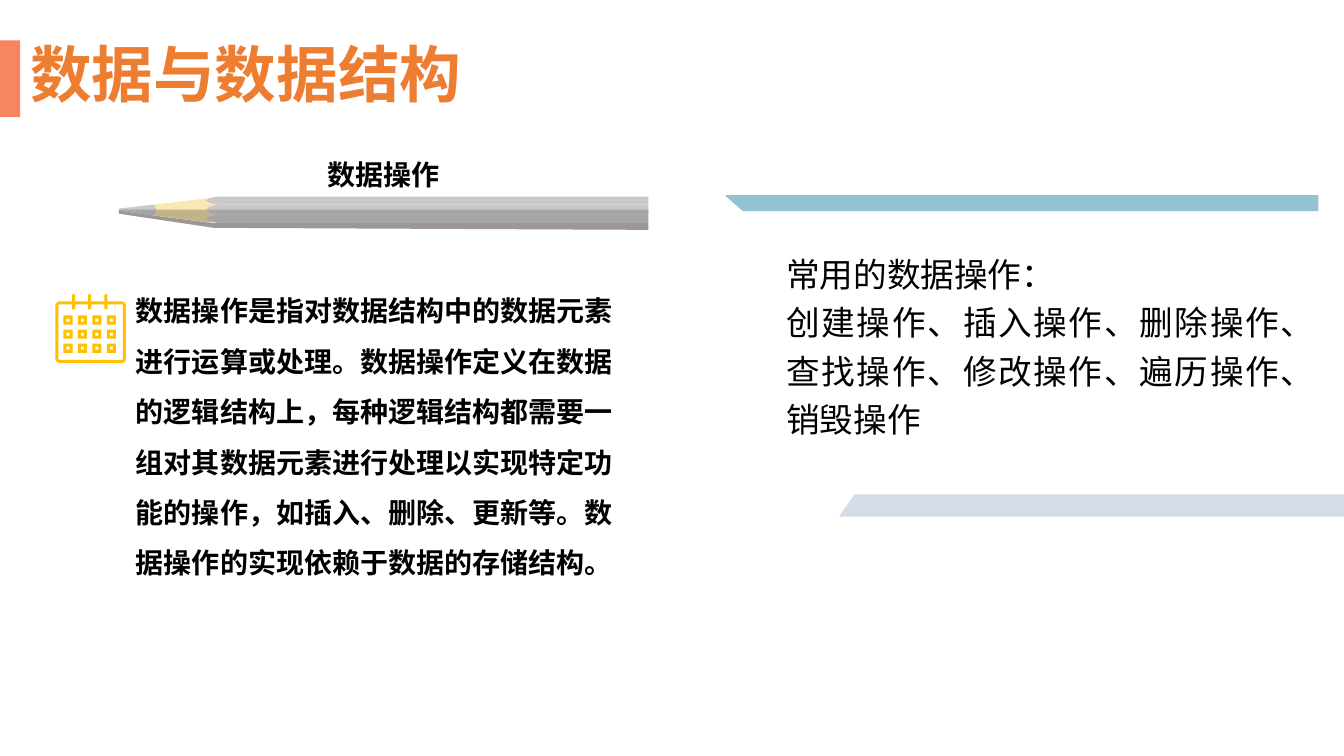
import math

from lxml import etree
from pptx import Presentation
from pptx import util as u
from pptx.dml.color import RGBColor
from pptx.enum import lang, shapes, text
from pptx.oxml import ns

COLORS = {
    "accent": "F88562",
    "title": "ED7D31",
    "ink": "000000",
    "calendar": "FFC000",
    "wood": "F8E9B2",
    "wood_shade": "C2B388",
    "light": "C9C9C9",
    "shade": "A5A5A5",
    "dark": "9C9696",
    "teal": "93C3D3",
    "mist": "D5DCE9",
}
CJK_FONT = "Noto Sans CJK SC"
BOLD_BODY = {"name": "Arial", "size": u.Pt(20), "bold": True}
TITLE = {"name": "Arial", "size": u.Pt(44), "bold": True}
PLAIN_BODY = {"name": CJK_FONT, "size": u.Pt(24), "bold": False}


def paint(shape, color, outlined=False):
    shape.shadow.inherit = False
    shape.fill.solid()
    shape.fill.fore_color.rgb = RGBColor.from_string(COLORS[color])
    if outlined:
        shape.line.color.rgb = RGBColor.from_string(COLORS[color])
        shape.line.width = u.Pt(0.75)
    else:
        shape.line.fill.background()


def add_outline(parent, left, top, contours, color, outlined=False):
    placed = [
        [(u.Inches(left + x), u.Inches(top + y)) for x, y in contour]
        for contour in contours
    ]
    builder = parent.build_freeform(*placed[0][0])
    for index, contour in enumerate(placed):
        if index:
            builder.move_to(*contour[0])
        builder.add_line_segments(contour[1:], close=True)
    paint(builder.convert_to_shape(), color, outlined)


def add_text(page, box, lines, font, spacing, align=text.PP_ALIGN.LEFT,
             anchor=text.MSO_ANCHOR.TOP, color="ink"):
    frame = page.shapes.add_textbox(*map(u.Inches, box)).text_frame
    frame.word_wrap = True
    frame.vertical_anchor = anchor
    for index, line in enumerate(lines):
        para = frame.add_paragraph() if index else frame.paragraphs[0]
        para.alignment = align
        para.line_spacing = spacing
        span = para.add_run()
        span.text = line
        span.font.language_id = lang.MSO_LANGUAGE_ID.SIMPLIFIED_CHINESE
        span.font.color.rgb = RGBColor.from_string(COLORS[color])
        for key, value in font.items():
            setattr(span.font, key, value)
        east_asian = etree.SubElement(span.font._element, ns.qn("a:ea"))
        east_asian.set("typeface", CJK_FONT)


def add_header(page, left, top, width, height):
    marker = page.shapes.add_shape(
        shapes.MSO_SHAPE.RECTANGLE,
        *map(u.Inches, (left, top, 0.2, height)))
    paint(marker, "accent")
    add_text(page, (left + 0.2, top - 0.01, width, height), ["数据与数据结构"],
             TITLE, 0.9, anchor=text.MSO_ANCHOR.MIDDLE, color="title")


def calendar_edge(left, top, right, bottom, radius, ring_tip):
    centers = [
        (left + radius, top + radius, 180),
        (right - radius, top + radius, 270),
        (right - radius, bottom - radius, 0),
        (left + radius, bottom - radius, 90),
    ]
    corners = [
        [(x + radius * math.cos(math.radians(start + turn)),
          y + radius * math.sin(math.radians(start + turn)))
         for turn in range(0, 91, 30)]
        for x, y, start in centers
    ]
    rings = []
    for center in (0.18, 0.34, 0.5):
        before, after = center - 0.03 / 2, center + 0.03 / 2
        rings += [(before, top), (before, ring_tip), (after, ring_tip), (after, top)]
    return corners[0] + rings + corners[1] + corners[2] + corners[3]


def square(left, top, side):
    return [(left, top), (left + side, top),
            (left + side, top + side), (left, top + side)]


def add_calendar(page, left, top):
    contours = [
        calendar_edge(0, 0.07, 0.7, 0.68, 0.04, 0),
        calendar_edge(0.03, 0.1, 0.67, 0.65, 0.01, 0.15)[::-1],
    ]
    for row in range(3):
        for column in range(4):
            x, y = 0.08 + column * 0.43 / 3, 0.21 + row * 0.14
            contours.append(square(x, y, 0.09))
            contours.append(square(x + 0.03, y + 0.03, 0.03)[::-1])
    add_outline(page.shapes, left, top, contours, "calendar")


def barrel_band(top, bottom, length):
    depth = bottom - top
    scallop = [(0.97, 0), (0.9, 0.2), (0.86, 0.5), (0.9, 0.8), (0.97, 1)]
    return ([(length, bottom), (length, top)]
            + [(x, top + part * depth) for x, part in scallop])


def add_pencil(page, left, top, length):
    pieces = [
        ("wood", [(0.91, 0.26), (0.01, 0.14), (0.01, 0.12),
                  (0.94, 0.01), (1.01, 0.02), (1.01, 0.24)]),
        ("light", barrel_band(0.08, 0.18, length)),
        ("light", barrel_band(0, 0.08, length)),
        ("light", [(0.35, 0.08), (0.37, 0.13), (0.36, 0.19), (0, 0.14), (0, 0.12)]),
        ("dark", [(0, 0.17), (0, 0.14), (0.36, 0.19), (0.91, 0.26),
                  (length, 0.26), (length, 0.33), (0.94, 0.31)]),
        ("wood_shade", [(0.36, 0.19), (0.37, 0.13), (0.87, 0.13), (0.9, 0.16),
                        (0.96, 0.18), (0.9, 0.2), (0.86, 0.22), (0.92, 0.26)]),
        ("shade", [(0.87, 0.13), (length, 0.13), (length, 0.18),
                   (0.96, 0.18), (0.9, 0.16)]),
        ("shade", barrel_band(0.18, 0.26, length)),
        ("shade", [(0, 0.14), (0, 0.13), (0.37, 0.13), (0.36, 0.19)]),
    ]
    pencil = page.shapes.add_group_shape()
    for color, outline in pieces:
        add_outline(pencil.shapes, left, top, [outline], color)


def add_definition(page, left, top):
    add_text(page, (left + 0.7, top + 1.35, 5.04, 3.13), [
        "数据操作是指对数据结构中的数据元素进行运算或处理。数据操作定义在数据的逻辑结构上，"
        "每种逻辑结构都需要一组对其数据元素进行处理以实现特定功能的操作，如插入、删除、更新等。"
        "数据操作的实现依赖于数据的存储结构。"], BOLD_BODY, 1.5)
    add_calendar(page, left, top + 1.57)
    add_pencil(page, left + 0.63, top + 0.6, 5.25)
    add_text(page, (left + 0.66, top, 5.18, 0.6), ["数据操作"],
             BOLD_BODY, 1.5, text.PP_ALIGN.CENTER)


def add_operations(page, left, top):
    upper_bar = [(0, 0), (5.87, 0), (5.87, 0.15), (0.17, 0.15)]
    lower_bar = [(0, 0.21), (5.03, 0.21), (5.03, 0), (0.15, 0)]
    add_outline(page.shapes, left, top, [upper_bar], "teal", True)
    add_outline(page.shapes, left + 1.13, top + 2.97, [lower_bar], "mist", True)
    add_text(page, (left + 0.5, top + 0.45, 5.44, 2.21), [
        "常用的数据操作：",
        "创建操作、插入操作、删除操作、查找操作、修改操作、遍历操作、销毁操作",
    ], PLAIN_BODY, 1.2, text.PP_ALIGN.JUSTIFY)


def main():
    deck = Presentation()
    deck.slide_width, deck.slide_height = u.Inches(13.33), u.Inches(7.5)
    page = deck.slides.add_slide(deck.slide_layouts[6])
    add_header(page, 0, 0.4, 12.94, 0.76)
    add_definition(page, 0.55, 1.35)
    add_operations(page, 7.2, 1.94)
    deck.save("out.pptx")


if __name__ == "__main__":
    main()
